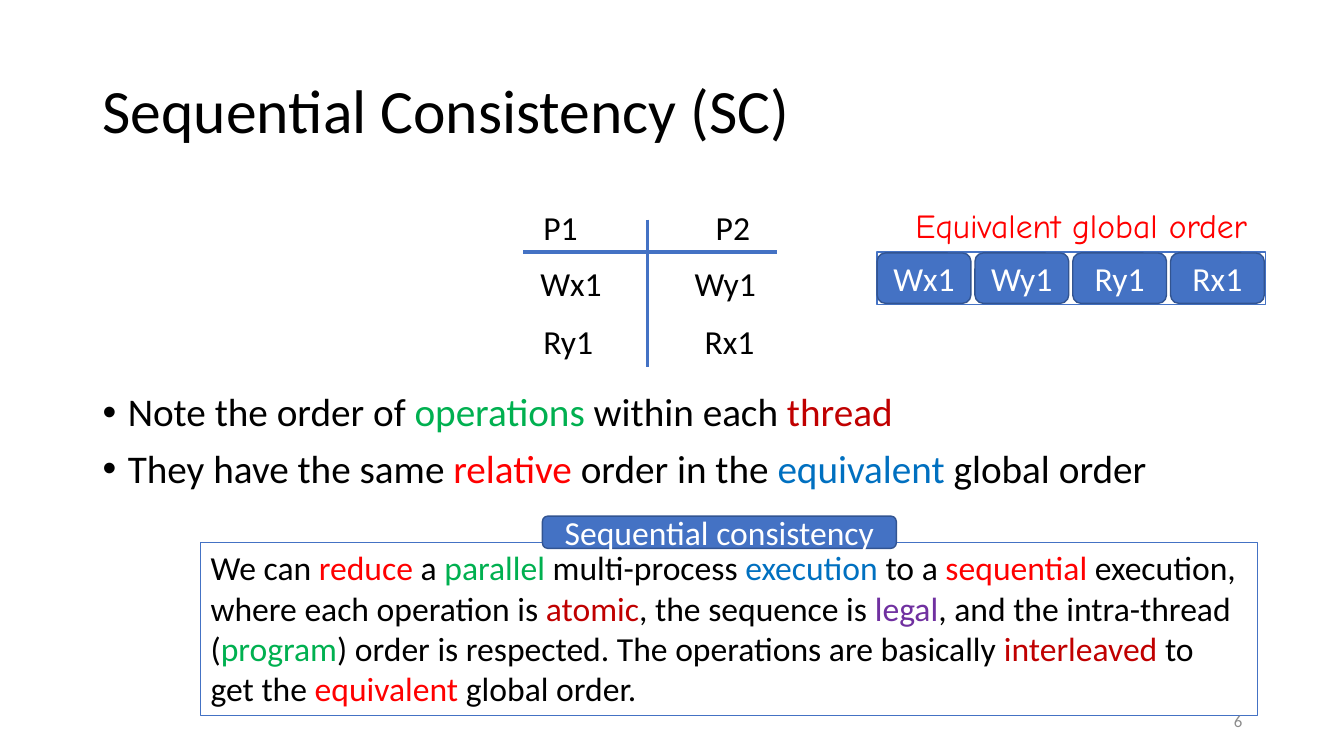
"""Build the Sequential Consistency slide."""
from lxml.etree import SubElement
from pptx import Presentation
from pptx.dml.color import RGBColor
from pptx.enum.shapes import MSO_CONNECTOR, MSO_SHAPE
from pptx.enum.text import MSO_ANCHOR, PP_ALIGN
from pptx.oxml.ns import qn
from pptx.util import Inches, Pt

BLACK = RGBColor(0x00, 0x00, 0x00)
WHITE = RGBColor(0xFF, 0xFF, 0xFF)
GRAY = RGBColor(0x8C, 0x8C, 0x8C)
RED = RGBColor(0xFF, 0x00, 0x00)
DARK_RED = RGBColor(0xC0, 0x00, 0x00)
GREEN = RGBColor(0x00, 0xB0, 0x50)
BLUE = RGBColor(0x00, 0x70, 0xC0)
PURPLE = RGBColor(0x70, 0x30, 0xA0)
ACCENT = RGBColor(0x44, 0x72, 0xC4)
ACCENT_DARK = RGBColor(0x32, 0x54, 0x91)

presentation = Presentation()
presentation.slide_width = Inches(13.33)
presentation.slide_height = Inches(7.5)
slide = presentation.slides.add_slide(presentation.slide_layouts[6])


def write(shape, paragraphs, size=24, font="Calibri", align=PP_ALIGN.LEFT, anchor=MSO_ANCHOR.TOP):
    """Fill a shape with paragraphs, each a list of (text, colour) runs."""
    frame = shape.text_frame
    frame.word_wrap = True
    frame.vertical_anchor = anchor
    for index, runs in enumerate(paragraphs):
        paragraph = frame.paragraphs[0] if index == 0 else frame.add_paragraph()
        paragraph.alignment = align
        for text, color in runs:
            if text == "\n":
                paragraph.add_line_break()
                continue
            run = paragraph.add_run()
            run.text = text
            run.font.size = Pt(size)
            run.font.name = font
            run.font.color.rgb = color
    return frame


def add_box(kind, left, top, width, height, fill, border):
    """Add a filled, outlined shape without a shadow."""
    box = slide.shapes.add_shape(kind, Inches(left), Inches(top), Inches(width), Inches(height))
    box.shadow.inherit = False
    box.fill.solid()
    box.fill.fore_color.rgb = fill
    box.line.color.rgb = border
    box.line.width = Pt(1)
    return box


title = slide.shapes.add_textbox(Inches(0.92), Inches(0.4), Inches(11.5), Inches(1.45))
title_frame = write(title, [[("Sequential Consistency (SC)", BLACK)]], 44, anchor=MSO_ANCHOR.MIDDLE)
title_frame.paragraphs[0].line_spacing = 0.9

notes_on_order = [
    [("Note the order of ", BLACK), ("operations", GREEN), (" within each ", BLACK),
     ("thread", DARK_RED)],
    [("They have the same ", BLACK), ("relative", RED), (" order in the ", BLACK),
     ("equivalent", BLUE), (" global order", BLACK)],
]
order_points = slide.shapes.add_textbox(Inches(0.92), Inches(3.85), Inches(11.5), Inches(1.16))
order_frame = write(order_points, notes_on_order, 28)
for index, point in enumerate(order_frame.paragraphs):
    point.line_spacing = 0.9
    point.space_before = Pt(10 if index else 0)
    properties = point._p.get_or_add_pPr()
    properties.set("marL", str(Inches(0.25)))
    properties.set("indent", str(-Inches(0.25)))
    SubElement(properties, qn("a:buFont")).set("typeface", "Arial")
    SubElement(properties, qn("a:buChar")).set("char", "•")

for x1, y1, x2, y2 in [(6.42, 2.18, 6.42, 3.64), (5.19, 2.5, 7.71, 2.5)]:
    divider = slide.shapes.add_connector(
        MSO_CONNECTOR.STRAIGHT, Inches(x1), Inches(y1), Inches(x2), Inches(y2))
    divider.line.color.rgb = ACCENT
    divider.line.width = Pt(2.25)
    SubElement(divider._element.spPr, qn("a:effectLst"))

thread_rows = [
    (2, 0.55, [("P1", 5.29), ("P2", 7)]),
    (2.56, 0.88, [("Wx1", 5.26), ("Wy1", 6.79)]),
    (3.13, 0.76, [("Ry1", 5.29), ("Rx1", 6.89)]),
]
for top, width, entries in thread_rows:
    for entry, left in entries:
        operation = slide.shapes.add_textbox(Inches(left), Inches(top), Inches(width), Inches(0.5))
        write(operation, [[(entry, BLACK)]])

add_box(MSO_SHAPE.RECTANGLE, 8.7, 2.5, 3.85, 0.52, WHITE, ACCENT)
for position, entry in enumerate(["Wx1", "Wy1", "Ry1", "Rx1"]):
    step = add_box(MSO_SHAPE.ROUNDED_RECTANGLE, 8.7 + 0.97 * position, 2.51, 0.93, 0.5,
                   ACCENT, ACCENT_DARK)
    write(step, [[(entry, WHITE)]], align=PP_ALIGN.CENTER, anchor=MSO_ANCHOR.MIDDLE)

global_order = slide.shapes.add_textbox(Inches(8.98), Inches(1.98), Inches(3.8), Inches(0.5))
write(global_order, [[("Equivalent global order", RED)]], font="Comic Neue")

definition = [
    [("We can ", BLACK), ("reduce", RED), (" a ", BLACK), ("parallel", GREEN),
     (" multi-process ", BLACK), ("execution", BLUE), (" to a ", BLACK), ("sequential", RED),
     (" execution,", BLACK), ("\n", BLACK), ("where each operation is ", BLACK),
     ("atomic", DARK_RED), (", the sequence is ", BLACK), ("legal", PURPLE),
     (", and the intra-thread", BLACK)],
    [("(", BLACK), ("program", GREEN),
     (") order is respected. The operations are basically ", BLACK),
     ("interleaved", DARK_RED), (" to", BLACK), ("\n", BLACK), ("get the ", BLACK),
     ("equivalent", RED), (" global order.", BLACK)],
]
definition_box = add_box(MSO_SHAPE.RECTANGLE, 1.99, 5.38, 10.48, 1.72, WHITE, ACCENT)
write(definition_box, definition)

definition_label = add_box(MSO_SHAPE.ROUNDED_RECTANGLE, 5.38, 5.12, 3.51, 0.32, ACCENT, ACCENT_DARK)
write(definition_label, [[("Sequential consistency", WHITE)]],
      align=PP_ALIGN.CENTER, anchor=MSO_ANCHOR.MIDDLE)

page_number = slide.shapes.add_textbox(Inches(9.42), Inches(6.95), Inches(3), Inches(0.4))
write(page_number, [[("6", GRAY)]], 12, align=PP_ALIGN.RIGHT, anchor=MSO_ANCHOR.MIDDLE)

presentation.save("out.pptx")
